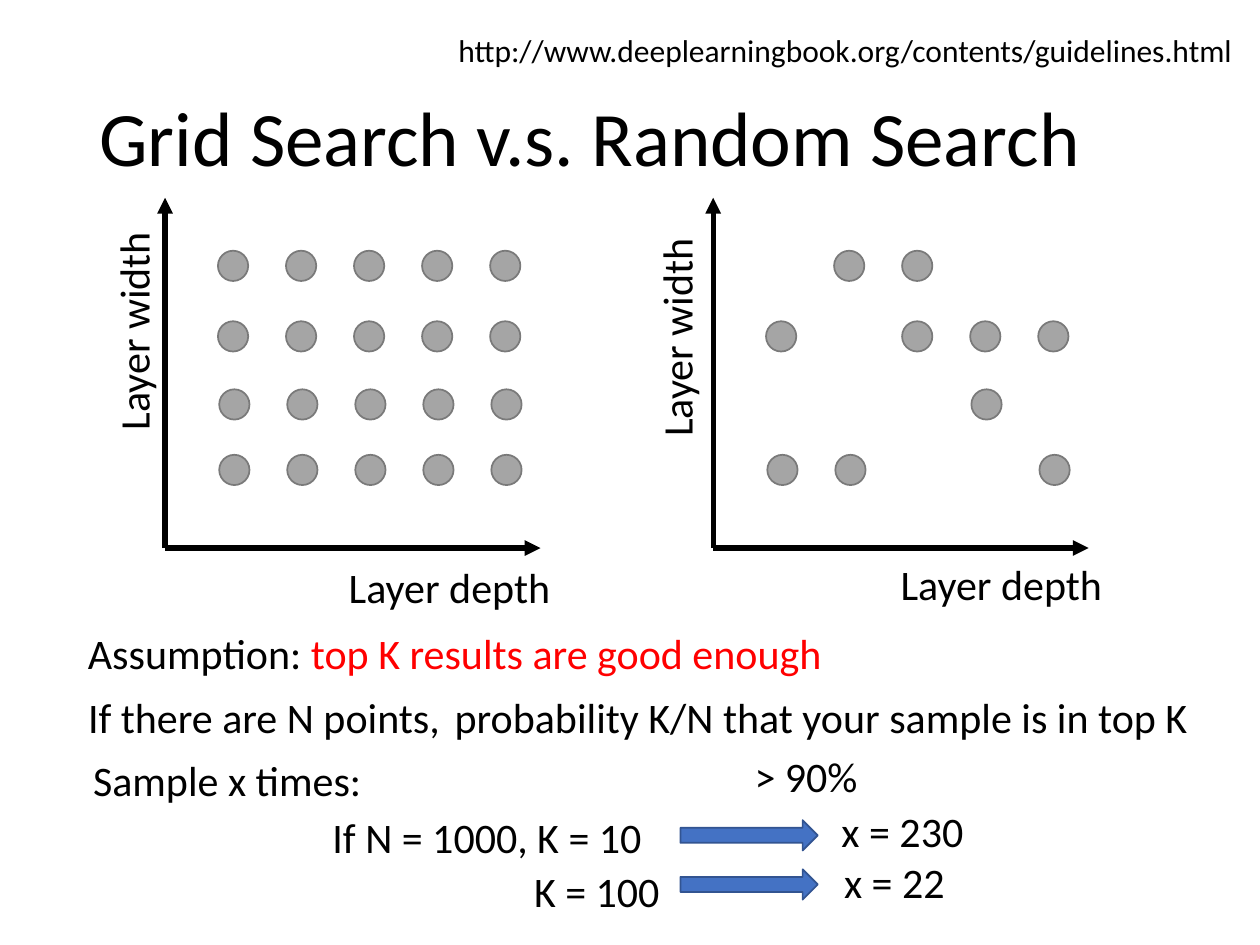
from pptx import Presentation
from pptx import util as u
from pptx.dml.color import RGBColor
from pptx.enum import shapes, text
from pptx.oxml.ns import qn
from lxml import etree

DOT = 0.24
STEP = 0.54
# Top of each dot row and its shift from the axis
ROWS = [(1.99, 0.42), (2.55, 0.42), (3.09, 0.43), (3.61, 0.43)]
FULL = [range(5)] * 4
RANDOM = [(1, 2), (0, 2, 3, 4), (3,), (0, 1, 4)]


def color(code):
    return RGBColor.from_string(code)


def write(slide, words, x, y, w, h=0.5, size=24, align="LEFT", anchor="TOP",
          turn=0, wrap=True, space=None):
    """Add a text box; words is a string or a list of (string, colour)."""
    box = slide.shapes.add_textbox(*map(u.Inches, (x, y, w, h)))
    box.rotation = turn
    frame = box.text_frame
    frame.word_wrap = wrap
    frame.vertical_anchor = getattr(text.MSO_ANCHOR, anchor)
    para = frame.paragraphs[0]
    para.alignment = getattr(text.PP_ALIGN, align)
    if space:
        para.line_spacing = space
    for part, tint in [(words, "000000")] if isinstance(words, str) else words:
        run = para.add_run()
        run.text = part
        run.font.size = u.Pt(size)
        run.font.name = "Calibri"
        run.font.color.rgb = color(tint)


def draw(slide, kind, x, y, w, h, fill, edge):
    """Add a filled preset shape."""
    item = slide.shapes.add_shape(kind, *map(u.Inches, (x, y, w, h)))
    item.shadow.inherit = False
    item.fill.solid()
    item.fill.fore_color.rgb = color(fill)
    item.line.color.rgb = color(edge)
    item.line.width = u.Pt(1)


def axis(slide, x, y, end_x, end_y):
    """Add a black line with an arrowhead at its end."""
    line = slide.shapes.add_connector(
        shapes.MSO_CONNECTOR.STRAIGHT, *map(u.Inches, (x, y, end_x, end_y)))
    line.line.color.rgb = color("000000")
    line.line.width = u.Pt(3)
    etree.SubElement(line.line._get_or_add_ln(), qn("a:tailEnd"), type="triangle")
    etree.SubElement(line._element.spPr, qn("a:effectLst"))


def plot(slide, left, dots, depth, width):
    """Add axes, dots and labels; depth and width are label corners."""
    base = 4.35
    axis(slide, left, base, left, 1.57)
    axis(slide, left, base, left + 2.98, base)
    for (top, shift), cols in zip(ROWS, dots):
        for col in cols:
            draw(slide, shapes.MSO_SHAPE.OVAL, left + shift + col * STEP, top,
                 DOT, DOT, "A5A5A5", "7A7A7A")
    write(slide, "Layer depth ", *depth, 2.27, align="CENTER")
    write(slide, "Layer width ", *width, 2.27, align="CENTER", turn=270)


def main():
    deck = Presentation()
    deck.slide_width, deck.slide_height = u.Inches(10), u.Inches(7.5)
    slide = deck.slides.add_slide(deck.slide_layouts[6])

    # Title and source link
    write(slide, "Grid Search v.s. Random Search", 0.69, 0.4, 8.62, 1.45,
          size=44, anchor="MIDDLE", space=0.9)
    write(slide, "http://www.deeplearningbook.org/contents/guidelines.html",
          3.13, 0.2, 7.16, 0.4, size=18, align="CENTER")

    # Grid search on the left, random search on the right
    plot(slide, 1.31, FULL, (2.47, 4.41), (-0.08, 2.34))
    plot(slide, 5.66, RANDOM, (6.85, 4.38), (4.23, 2.39))

    # Reasoning
    write(slide, [("Assumption: ", "000000"),
                  ("top K results are good enough", "FF0000")], 0.6, 4.93, 6.9)
    write(slide, "If there are N points,", 0.6, 5.44, 3.02, wrap=False)
    write(slide, "probability K/N that your sample is in top K", 3.51, 5.44, 6.39)
    write(slide, "Sample x times:", 0.64, 5.94, 2.35, wrap=False)
    write(slide, "> 90%", 5.89, 5.91, 1.2)

    # Worked cases with arrows
    write(slide, "If N = 1000, K = 10", 2.54, 6.39, 3.23)
    write(slide, "x = 230", 6.58, 6.34, 1.55)
    write(slide, "K = 100", 4.14, 6.82, 1.26)
    write(slide, "x = 22", 6.6, 6.75, 1.55)
    for top in (6.51, 6.9):
        draw(slide, shapes.MSO_SHAPE.RIGHT_ARROW, 5.4, top, 1.09, 0.24,
             "4472C4", "325491")

    deck.save("out.pptx")


if __name__ == "__main__":
    main()
